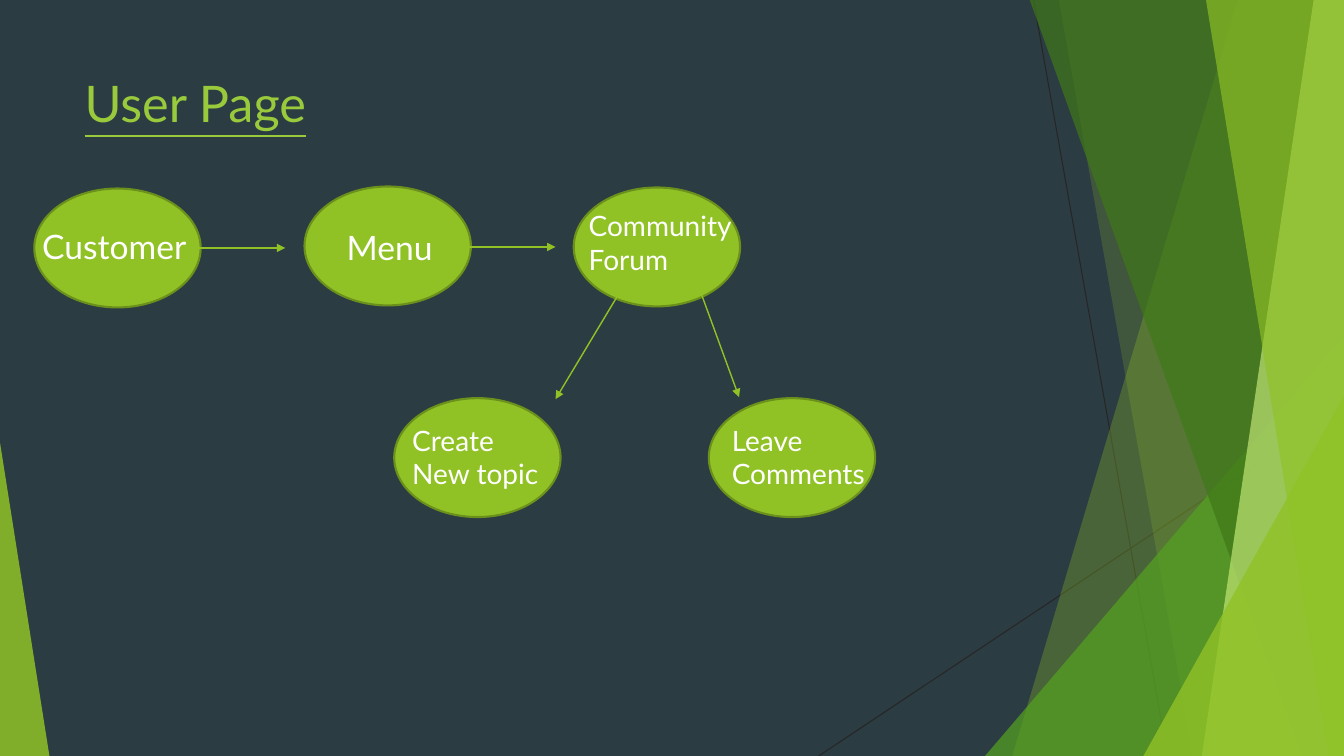
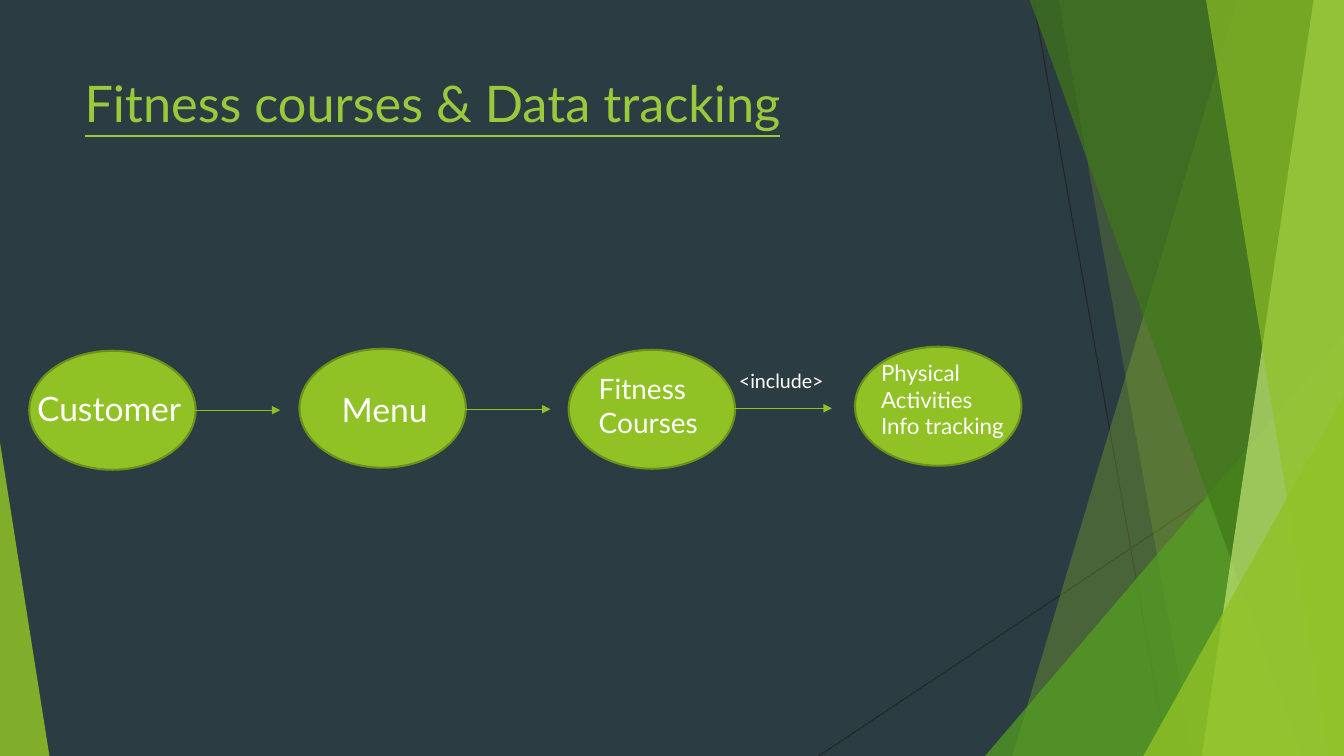
from lxml import etree
from pptx import Presentation
from pptx.dml.color import RGBColor
from pptx.enum.shapes import MSO_CONNECTOR as Connector, MSO_SHAPE as Preset
from pptx.enum.text import MSO_ANCHOR as Anchor, MSO_AUTO_SIZE as AutoSize
from pptx.oxml.ns import qn
from pptx.util import Inches, Pt

# Style
BACKGROUND = RGBColor(0x2C, 0x3C, 0x43)
TITLE_GREEN = RGBColor(0x99, 0xCA, 0x3C)
LIME = RGBColor(0x90, 0xC2, 0x26)
OLIVE = RGBColor(0x6B, 0x90, 0x1C)
GRASS = RGBColor(0x54, 0xA0, 0x21)
FOREST = RGBColor(0x3F, 0x78, 0x19)
PALE_LIME = RGBColor(0xC0, 0xE4, 0x74)
CHARCOAL = RGBColor(0x26, 0x26, 0x26)
WHITE = RGBColor(0xFF, 0xFF, 0xFF)
FONT = "Lato"
WIDTH, HEIGHT = 13.33, 7.5
NODE_WIDTH, NODE_HEIGHT = 1.65, 1.18


class Deck:
    def __init__(self):
        self.presentation = Presentation()
        self.presentation.slide_width = Inches(WIDTH)
        self.presentation.slide_height = Inches(HEIGHT)
        self.slide = None

    def new_slide(self, title):
        self.slide = self.presentation.slides.add_slide(self.presentation.slide_layouts[6])
        fill = self.slide.background.fill
        fill.solid()
        fill.fore_color.rgb = BACKGROUND
        self.facets()
        self.text(title, 0.74, 0.67, 9.4, 1.44, 36, TITLE_GREEN, underline=True)

    def facets(self):
        """Draw the overlapping translucent facets along the edges."""
        self.line((10.25, 0), (11.58, HEIGHT), CHARCOAL, 0.75)
        self.line((WIDTH, 4.03), (8.12, HEIGHT), CHARCOAL, 0.75)
        self.band(12.28, 10.04, LIME, 30)
        self.band(10.5, 11.83, LIME, 20)
        self.triangle(9.77, 3.33, 3.56, 1, GRASS, 72)
        self.band(10.21, 12.91, FOREST, 70)
        self.band(13.03, 11.92, PALE_LIME, 70)
        self.band(11.96, 13.18, LIME, 65)
        self.triangle(11.34, 3.93, 1.99, 1, LIME, 80)
        self.triangle(0, 4.39, 0.49, 0, LIME, 85)

    def paint(self, shape, color, opacity=100):
        shape.shadow.inherit = False
        shape.fill.solid()
        shape.fill.fore_color.rgb = color
        shape.line.fill.background()
        if opacity < 100:
            color_element = shape.fill._xPr.find(qn("a:solidFill"))[0]
            etree.SubElement(color_element, qn("a:alpha"), val=str(opacity * 1000))

    def band(self, top_x, bottom_x, color, opacity):
        """Fill from a slanted left edge to the right side of the slide."""
        builder = self.slide.shapes.build_freeform(Inches(top_x), Inches(-0.01))
        corners = [(WIDTH, -0.01), (WIDTH, HEIGHT), (bottom_x, HEIGHT)]
        builder.add_line_segments([(Inches(x), Inches(y)) for x, y in corners])
        self.paint(builder.convert_to_shape(), color, opacity)

    def triangle(self, left, top, width, apex, color, opacity):
        shape = self.slide.shapes.add_shape(
            Preset.ISOSCELES_TRIANGLE, Inches(left), Inches(top),
            Inches(width), Inches(HEIGHT - top))
        shape.adjustments[0] = apex
        self.paint(shape, color, opacity)

    def line(self, start, end, color, weight):
        connector = self.slide.shapes.add_connector(
            Connector.STRAIGHT, *(Inches(value) for value in (*start, *end)))
        connector.line.color.rgb = color
        connector.line.width = Pt(weight)
        etree.SubElement(connector._element.spPr, qn("a:effectLst"))
        return connector

    def arrow(self, start, end):
        connector = self.line(start, end, LIME, 1)
        etree.SubElement(connector.line._get_or_add_ln(), qn("a:tailEnd"), type="triangle")

    def text(self, text, left, top, width, height, size, color=WHITE, underline=None):
        box = self.slide.shapes.add_textbox(
            Inches(left), Inches(top), Inches(width), Inches(height))
        text_frame = box.text_frame
        text_frame.word_wrap = True
        text_frame.vertical_anchor = Anchor.TOP
        text_frame.auto_size = AutoSize.NONE if underline else AutoSize.SHAPE_TO_FIT_TEXT
        text_frame.text = text
        for paragraph in text_frame.paragraphs:
            for run in paragraph.runs:
                run.font.name = FONT
                run.font.size = Pt(size)
                run.font.color.rgb = color
                run.font.underline = underline

    def node(self, text, left, top, label_x, label_y, size=20,
             label_width=2.06, label_height=0.77):
        """Draw an ellipse with a label offset from its top-left corner."""
        shape = self.slide.shapes.add_shape(
            Preset.OVAL, Inches(left), Inches(top), Inches(NODE_WIDTH), Inches(NODE_HEIGHT))
        self.paint(shape, LIME)
        shape.line.color.rgb = OLIVE
        shape.line.width = Pt(1.5)
        self.text(text, left + label_x, top + label_y, label_width, label_height, size)

    def menu_flow(self, left, top, target, label_x, label_y):
        """Draw the path from the customer through the menu to a target."""
        self.node("Customer", left, top, -0.02, 0.32, 24, label_height=0.5)
        self.node("Menu", left + 2.68, top - 0.02, 0.32, 0.35, 24, 1.1, 0.5)
        self.node(target, left + 5.35, top - 0.01, label_x, label_y)
        self.arrow((left + 1.58, top + 0.59), (left + 2.49, top + 0.59))
        self.arrow((left + 4.19, top + 0.58), (left + 5.17, top + 0.58))


def main():
    deck = Deck()

    # User page
    deck.new_slide("User Page")
    deck.menu_flow(0.34, 1.87, "Community\nForum", 0.05, 0.16)
    deck.node("Create\nNew topic", 3.91, 3.95, 0.08, 0.2)
    deck.node("Leave\nComments", 7.03, 3.95, 0.13, 0.2)
    deck.arrow((6.2, 2.81), (5.51, 3.96))
    deck.arrow((6.91, 2.79), (7.33, 3.94))

    # Fitness courses
    deck.new_slide("Fitness courses & Data tracking")
    deck.menu_flow(0.29, 3.48, "Fitness\nCourses", 0.2, 0.17)
    deck.node("Physical\nActivities\nInfo tracking", 8.48, 3.44, 0.16, 0.07, 16,
              label_height=0.91)
    deck.arrow((7.27, 4.05), (8.25, 4.05))
    deck.text("<include>", 7.23, 3.61, 1.09, 0.34, 14)

    deck.presentation.save("out.pptx")


if __name__ == "__main__":
    main()
